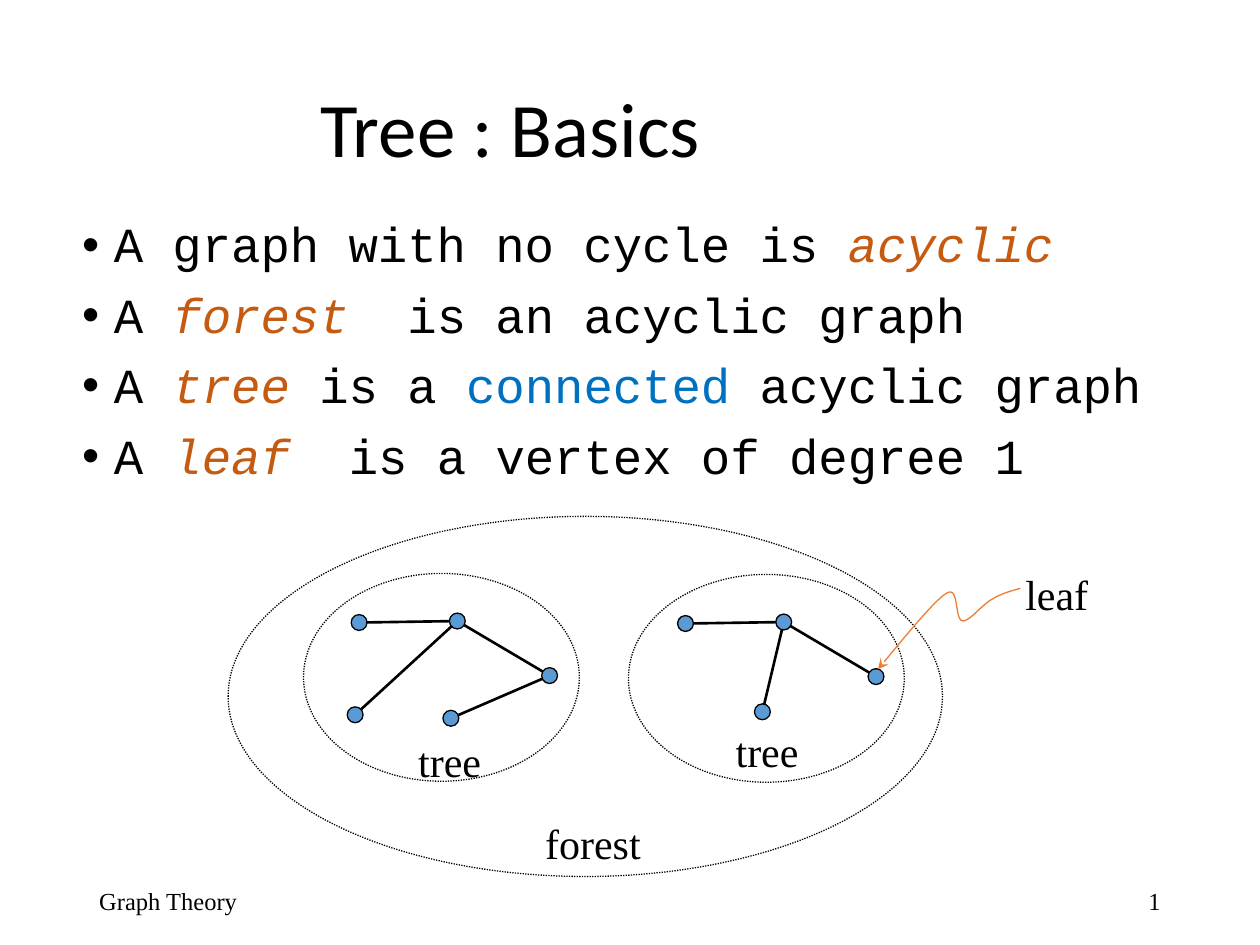
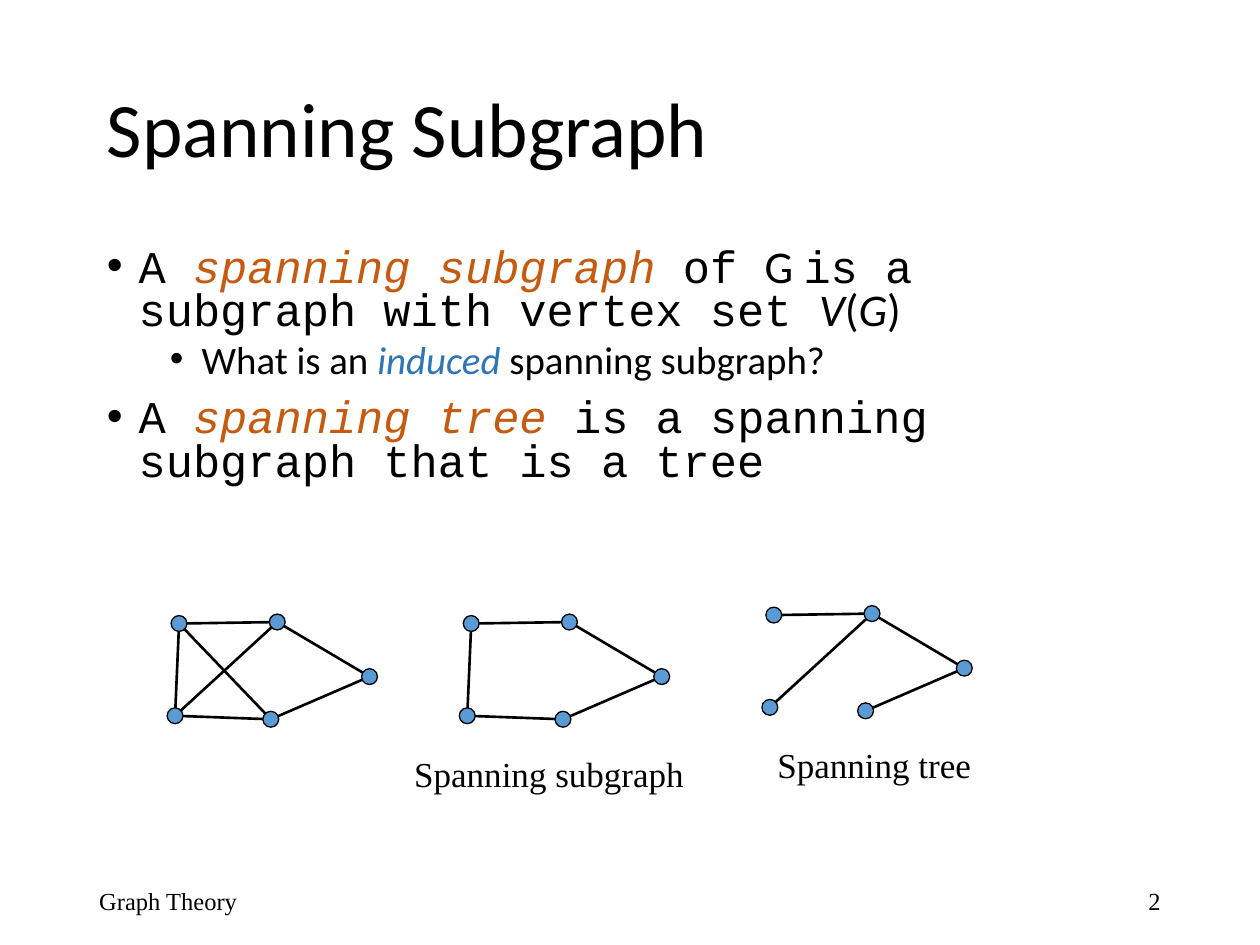
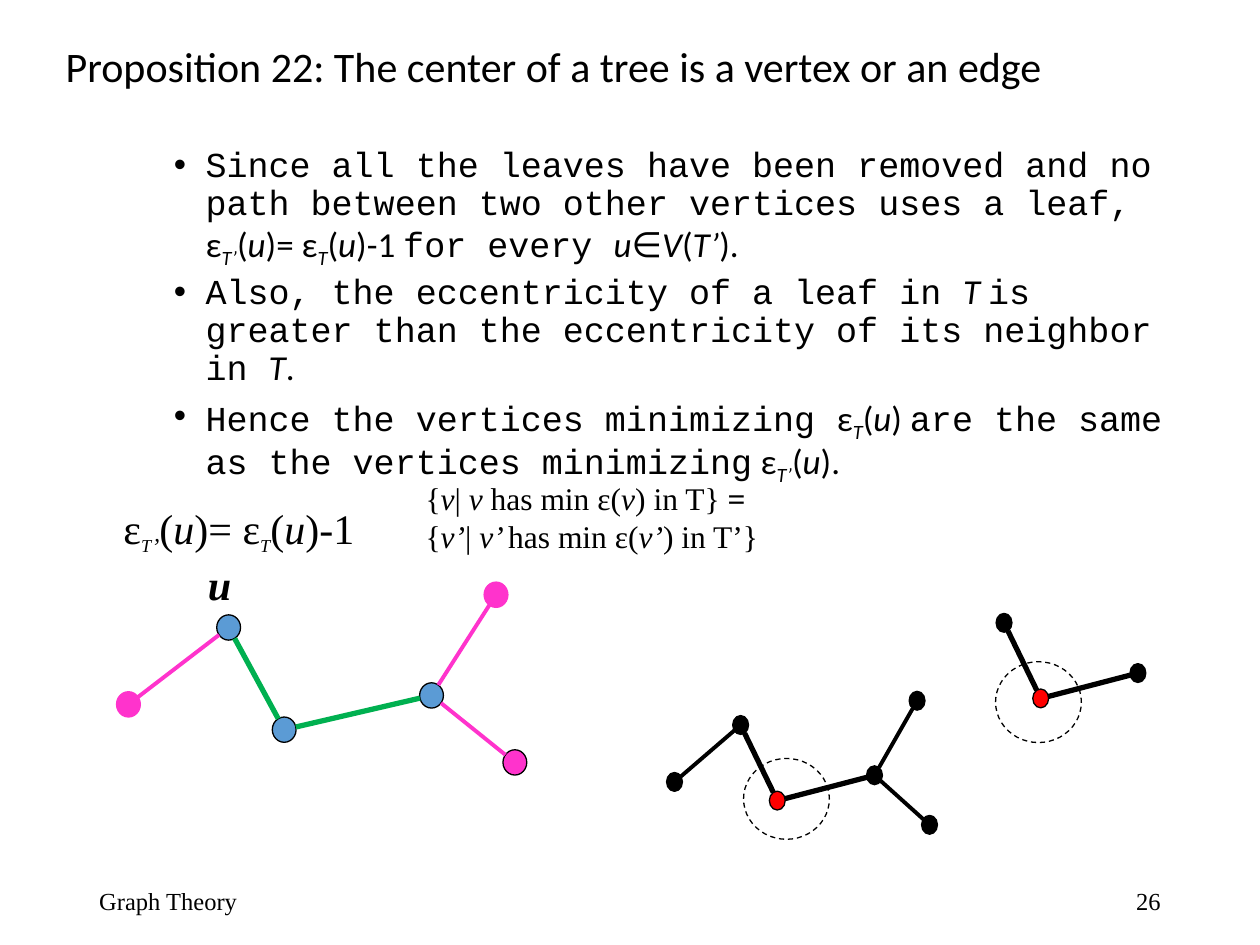
from dataclasses import dataclass, field
from math import hypot
from typing import NamedTuple

from lxml.etree import SubElement
from pptx import Presentation
from pptx.dml.color import RGBColor
from pptx.enum.dml import MSO_LINE
from pptx.enum.shapes import MSO_CONNECTOR, MSO_SHAPE
from pptx.enum.text import MSO_ANCHOR, MSO_AUTO_SIZE, PP_ALIGN
from pptx.oxml.ns import qn
from pptx.util import Cm, Pt


@dataclass(frozen=True)
class Theme:
    black: RGBColor = RGBColor(0x00, 0x00, 0x00)
    term: RGBColor = RGBColor(0xC5, 0x5A, 0x11)
    connected: RGBColor = RGBColor(0x00, 0x70, 0xC0)
    induced: RGBColor = RGBColor(0x2E, 0x75, 0xB6)
    vertex: RGBColor = RGBColor(0x5B, 0x9B, 0xD5)
    pointer: RGBColor = RGBColor(0xED, 0x7D, 0x31)
    removed: RGBColor = RGBColor(0xFF, 0x33, 0xCC)
    kept: RGBColor = RGBColor(0x00, 0xB0, 0x50)
    center: RGBColor = RGBColor(0xFF, 0x00, 0x00)
    sans: str = "Calibri"
    mono: str = "Courier New"
    serif: str = "Times New Roman"
    title: float = 44
    proposition: float = 24
    definition: float = 28
    subgraph: float = 25.9
    question: float = 22.2
    proof: float = 20
    label: float = 24
    caption: float = 20
    set_notation: float = 18
    footer: float = 14
    outline: float = 0.75


THEME = Theme()


class Point(NamedTuple):
    x: float
    y: float


class Frame(NamedTuple):
    """Left, top, width and height in centimetres."""
    left: float
    top: float
    width: float
    height: float

    def lengths(self) -> list[Cm]:
        return [Cm(value) for value in self]


class Run(NamedTuple):
    text: str
    form: dict = {}


class Bullet(NamedTuple):
    runs: list[Run]
    level: int = 0


class Stroke(NamedTuple):
    color: RGBColor
    width: float


class VertexStyle(NamedTuple):
    fill: RGBColor
    line: RGBColor = THEME.black


@dataclass
class Graph:
    """Vertices are named by one letter, edges by two; positions are relative to origin."""
    origin: Point
    vertices: dict[str, Point]
    edges: str
    size: Point = Point(0.32, 0.32)
    scale: Point = Point(1, 1)
    vertex: VertexStyle = VertexStyle(THEME.vertex)
    edge: Stroke = Stroke(THEME.black, 1.5)
    special_vertices: dict[str, VertexStyle] = field(default_factory=dict)
    special_edges: dict[str, Stroke] = field(default_factory=dict)

    def center(self, name: str) -> Point:
        x, y = self.vertices[name]
        return Point(self.origin.x + x * self.scale.x, self.origin.y + y * self.scale.y)


# Text

def mono(text: str, **form) -> Run:
    return Run(text, {"font": THEME.mono, **form})


def term(text: str) -> Run:
    return mono(text, italic=True, color=THEME.term)


def italic(text: str, **form) -> Run:
    return Run(text, {"italic": True, **form})


def subscript(text: str, **form) -> Run:
    return italic(text, baseline=-25, **form)


def eccentricity(*tree: Run) -> list[Run]:
    return [Run("ε"), *tree, Run("("), italic("u"), Run(")")]


def write(paragraph, text: str, *, font: str = THEME.serif, size: float = THEME.label,
          color: RGBColor = THEME.black, bold: bool = False, italic: bool = False,
          baseline: int = 0, tracking: float = 0) -> None:
    run = paragraph.add_run()
    run.text = text
    run.font.name, run.font.size = font, Pt(size)
    run.font.bold, run.font.italic = bold, italic
    run.font.color.rgb = color
    properties = run._r.get_or_add_rPr()
    if baseline:
        properties.set("baseline", str(baseline * 1000))
    if tracking:
        properties.set("spc", str(round(tracking * 100)))


def write_runs(paragraph, runs: list[Run], **defaults) -> None:
    for run in runs:
        write(paragraph, run.text, **{**defaults, **run.form})


def add_label(slide, frame: Frame, *lines: list[Run], align=PP_ALIGN.LEFT,
              anchor=MSO_ANCHOR.TOP, grow: bool = True, **form) -> None:
    text_frame = slide.shapes.add_textbox(*frame.lengths()).text_frame
    text_frame.word_wrap = True
    text_frame.auto_size = MSO_AUTO_SIZE.SHAPE_TO_FIT_TEXT if grow else MSO_AUTO_SIZE.NONE
    text_frame.vertical_anchor = anchor
    for index, runs in enumerate(lines):
        paragraph = text_frame.add_paragraph() if index else text_frame.paragraphs[0]
        paragraph.alignment = align
        write_runs(paragraph, runs, **form)


def place(placeholder, frame: Frame, anchor):
    (placeholder.left, placeholder.top,
     placeholder.width, placeholder.height) = frame.lengths()
    text_frame = placeholder.text_frame
    text_frame.word_wrap = True
    text_frame.auto_size = MSO_AUTO_SIZE.NONE
    text_frame.vertical_anchor = anchor
    return text_frame


def set_title(slide, frame: Frame, text: str, size: float = THEME.title,
              line_spacing: float = 0.9) -> None:
    paragraph = place(slide.shapes.title, frame, MSO_ANCHOR.MIDDLE).paragraphs[0]
    paragraph.alignment = PP_ALIGN.LEFT
    paragraph.line_spacing = line_spacing
    write(paragraph, text, font=THEME.sans, size=size)


def set_bullets(slide, frame: Frame, bullets: list[Bullet], size: float,
                line_spacing: float = 0.9) -> None:
    text_frame = place(slide.placeholders[1], frame, MSO_ANCHOR.TOP)
    for index, bullet in enumerate(bullets):
        paragraph = text_frame.add_paragraph() if index else text_frame.paragraphs[0]
        paragraph.level = bullet.level
        properties = paragraph._p.get_or_add_pPr()
        properties.set("marL", str(Cm(0.64 + 1.27 * bullet.level)))
        properties.set("indent", str(-Cm(0.64)))
        SubElement(properties, qn("a:buFont"), typeface="Arial")
        SubElement(properties, qn("a:buChar"), char="•")
        paragraph.line_spacing = line_spacing
        paragraph.space_before = Pt((5 if bullet.level else 10) if index else 0)
        write_runs(paragraph, bullet.runs, font=THEME.sans, size=size)


def add_slide(deck, number: int):
    slide = deck.slides.add_slide(deck.slide_layouts[1])
    for left, text, align in ((1.75, "Graph Theory", PP_ALIGN.LEFT),
                              (17.93, str(number), PP_ALIGN.RIGHT)):
        add_label(slide, Frame(left, 17.65, 5.72, 1.02), [Run(text)], align=align,
                  anchor=MSO_ANCHOR.MIDDLE, grow=False, size=THEME.footer)
    return slide


# Drawing

def add_ellipse(shapes, frame: Frame, style: VertexStyle | None = None, dash=None) -> None:
    ellipse = shapes.add_shape(MSO_SHAPE.OVAL, *frame.lengths())
    ellipse.shadow.inherit = False
    ellipse.line.width = Pt(THEME.outline)
    ellipse.line.color.rgb = style.line if style else THEME.black
    if style:
        ellipse.fill.solid()
        ellipse.fill.fore_color.rgb = style.fill
    else:
        ellipse.fill.background()
    if dash:
        ellipse.line.dash_style = dash


def add_edge(shapes, start: Point, end: Point, size: Point, stroke: Stroke) -> None:
    """Join two vertices from rim to rim."""
    dx, dy = end.x - start.x, end.y - start.y
    trim = 0.5 / hypot(dx / size.x, dy / size.y)
    edge = shapes.add_connector(
        MSO_CONNECTOR.STRAIGHT,
        Cm(start.x + dx * trim), Cm(start.y + dy * trim),
        Cm(end.x - dx * trim), Cm(end.y - dy * trim))
    edge.line.color.rgb, edge.line.width = stroke.color, Pt(stroke.width)
    SubElement(edge._element.spPr, qn("a:effectLst"))


def draw_graph(shapes, graph: Graph) -> None:
    width, height = graph.size
    for name in graph.vertices:
        x, y = graph.center(name)
        add_ellipse(shapes, Frame(x - width / 2, y - height / 2, width, height),
                    graph.special_vertices.get(name, graph.vertex))
    for pair in graph.edges.split():
        start, end = map(graph.center, pair)
        add_edge(shapes, start, end, graph.size, graph.special_edges.get(pair, graph.edge))


def add_pointer(slide, knots: list[Point], steps: int = 12) -> None:
    """Draw a chain of cubic curves with an arrowhead at its first point."""
    curve = []
    for first in range(0, len(knots) - 1, 3):
        controls = knots[first:first + 4]
        for step in range(1, steps + 1):
            t = step / steps
            weights = ((1 - t) ** 3, 3 * t * (1 - t) ** 2, 3 * t * t * (1 - t), t ** 3)
            curve.append(tuple(Cm(sum(w * p[axis] for w, p in zip(weights, controls)))
                               for axis in (0, 1)))
    builder = slide.shapes.build_freeform(Cm(knots[0].x), Cm(knots[0].y))
    builder.add_line_segments(curve, close=False)
    pointer = builder.convert_to_shape()
    pointer.shadow.inherit = False
    pointer.fill.background()
    pointer.line.color.rgb, pointer.line.width = THEME.pointer, Pt(THEME.outline)
    SubElement(pointer.line._get_or_add_ln(), qn("a:headEnd"), type="stealth")


# Content

HOUSE = {"A": Point(0, 0), "B": Point(1.98, -0.03), "E": Point(3.84, 1.07),
         "C": Point(-0.08, 1.86), "D": Point(1.85, 1.93)}
HOUSE_TREE = "AB BE DE CB"
HOUSE_CYCLE = "AB BE DE AC CD"
SMALL_TREE = {name: HOUSE[name] for name in "ABE"} | {"D": Point(1.55, 1.78)}

INNER = {"M": Point(0, 0), "R": Point(2.97, -0.69), "U": Point(-1.12, -2.06)}
LEAVES = {"T": Point(4.27, -2.72), "L": Point(4.65, 0.66), "P": Point(-3.14, -0.51)}
INNER_EDGES = "MR MU"
LEAF_EDGES = "RT LR PU"


def build_basics(deck) -> None:
    slide = add_slide(deck, 1)
    wide_space = mono(" ", tracking=16.8)
    set_title(slide, Frame(6.2, 1.7, 12.67, 1.93), "Tree : Basics")
    set_bullets(slide, Frame(1.4, 4.32, 22.15, 5.66), [
        Bullet([mono("A graph with no cycle is "), term("acyclic")]),
        Bullet([mono("A "), term("forest"), wide_space, mono("is an acyclic graph")]),
        Bullet([mono("A "), term("tree"), mono(" is a "),
                mono("connected", color=THEME.connected), mono(" acyclic graph")]),
        Bullet([mono("A "), term("leaf"), wide_space, mono("is a vertex of degree 1")]),
    ], THEME.definition)
    draw_graph(slide.shapes, Graph(Point(7.24, 12.55), HOUSE, HOUSE_TREE))
    draw_graph(slide.shapes, Graph(Point(13.82, 12.57), SMALL_TREE, "AB BE DB"))
    for boundary in (Frame(6.12, 11.56, 5.56, 4.19), Frame(12.67, 11.58, 5.56, 4.19),
                     Frame(4.6, 10.41, 14.4, 7.26)):
        add_ellipse(slide.shapes, boundary, dash=MSO_LINE.ROUND_DOT)
    for text, left, top, width in (("tree", 8.18, 14.71, 1.83), ("tree", 14.58, 14.5, 1.83),
                                   ("forest", 10.74, 16.36, 3.07), ("leaf", 20.42, 11.33, 1.98)):
        add_label(slide, Frame(left, top, width, 1.27), [Run(text)])
    add_pointer(slide, [
        Point(17.7, 13.49),
        Point(17.93, 13.23), Point(18.8, 12.12), Point(19.08, 11.96),
        Point(19.35, 11.79), Point(19.23, 12.5), Point(19.41, 12.52),
        Point(19.56, 12.52), Point(19.81, 12.17), Point(20.02, 12.07),
        Point(20.19, 11.96), Point(20.47, 11.89), Point(20.57, 11.86)])


def build_spanning(deck) -> None:
    slide = add_slide(deck, 2)
    set_title(slide, Frame(1.9, 1.7, 21.59, 1.93), "Spanning Subgraph")
    question = {"size": THEME.question}
    set_bullets(slide, Frame(1.9, 4.88, 21.59, 5.54), [
        Bullet([mono("A "), term("spanning subgraph "), mono("of "), Run("G "),
                mono("is a subgraph with vertex set "),
                italic("V"), Run("("), italic("G"), Run(")")]),
        Bullet([Run("What is an ", question),
                italic("induced", color=THEME.induced, **question),
                Run(" spanning subgraph?", question)], level=1),
        Bullet([mono("A "), term("spanning tree "),
                mono("is a spanning subgraph that is a tree")]),
    ], THEME.subgraph, line_spacing=0.8)
    for origin, edges in ((Point(3.61, 12.57), HOUSE_CYCLE + " CB AD"),
                          (Point(9.5, 12.57), HOUSE_CYCLE),
                          (Point(15.6, 12.4), HOUSE_TREE)):
        draw_graph(slide.shapes, Graph(origin, HOUSE, edges))
    for text, frame in (("Spanning subgraph", Frame(8.1, 15.04, 6.3, 1.09)),
                        ("Spanning tree", Frame(15.42, 14.86, 4.57, 1.09))):
        add_label(slide, frame, [Run(text)], size=THEME.caption)


def build_center(deck) -> None:
    slide = add_slide(deck, 26)
    set_title(slide, Frame(1.07, 0.43, 23.06, 2.06),
              "Proposition 22: The center of a tree is a vertex or an edge",
              THEME.proposition, line_spacing=0.7)
    tree, pruned = eccentricity(subscript("T")), eccentricity(subscript("T’"))
    set_bullets(slide, Frame(1.98, 2.84, 22.17, 6.4), [
        Bullet([mono("Since all the leaves have been removed and no path between "
                     "two other vertices uses a leaf, "),
                *pruned, Run("= "), *tree, Run("-1 "), mono("for every "),
                italic("u"), Run("∈"), italic("V"), Run("("), italic("T’"), Run(").")], 1),
        Bullet([mono("Also, the eccentricity of a leaf in "), italic("T "),
                mono("is greater than the eccentricity of its neighbor in "),
                italic("T"), Run(".")], 1),
        Bullet([mono("Hence the vertices minimizing "), *tree, Run(" "),
                mono("are the same as the vertices minimizing"), Run(" "),
                *pruned, Run(".")], 1),
    ], THEME.proof)

    leaf_stroke = Stroke(THEME.removed, 2.25)
    removed_leaf = VertexStyle(THEME.removed, THEME.removed)
    draw_graph(slide.shapes, Graph(
        Point(5.73, 14.71), INNER | LEAVES, f"{INNER_EDGES} {LEAF_EDGES}",
        size=Point(0.48, 0.51), edge=leaf_stroke,
        special_vertices={"T": removed_leaf, "P": removed_leaf,
                          "L": VertexStyle(THEME.removed)},
        special_edges=dict.fromkeys(INNER_EDGES.split(), Stroke(THEME.kept, 3))))
    for origin, vertices, edges in (
            (Point(15.67, 16.14), INNER | LEAVES, f"{INNER_EDGES} {LEAF_EDGES}"),
            (Point(20.98, 14.08), INNER, INNER_EDGES)):
        draw_graph(slide.shapes.add_group_shape().shapes, Graph(
            origin, vertices, edges, size=Point(0.32, 0.38), scale=Point(0.66, 0.74),
            vertex=VertexStyle(THEME.black), edge=Stroke(THEME.black, 2.25),
            special_vertices={"M": VertexStyle(THEME.center)},
            special_edges=dict.fromkeys(INNER_EDGES.split(), Stroke(THEME.black, 3))))
    for left, top in ((14.99, 15.29), (20.07, 13.34)):
        add_ellipse(slide.shapes, Frame(left, top, 1.73, 1.63), dash=MSO_LINE.DASH)

    add_label(slide, Frame(3.94, 11.13, 1.4, 1.27), [italic("u", bold=True)])
    small_t = subscript("T", size=THEME.set_notation)
    add_label(slide, Frame(2.24, 10.01, 5.49, 1.27),
              [*eccentricity(small_t, subscript("’")), Run("= "),
               *eccentricity(small_t), Run("-1")])
    add_label(slide, Frame(8.33, 9.53, 9.65, 1.78),
              [Run("{"), italic("v"), Run("| "), italic("v"), Run(" has min ε("),
               italic("v"), Run(") in T} "), Run("=", {"bold": True})],
              [Run("{"), italic("v’"), Run("| "), italic("v’ "), Run("has min ε("),
               italic("v’"), Run(") in T’}")],
              size=THEME.set_notation)


def main() -> None:
    deck = Presentation()
    deck.slide_width, deck.slide_height = Cm(25.4), Cm(19.05)
    build_basics(deck)
    build_spanning(deck)
    build_center(deck)
    deck.save("out.pptx")


if __name__ == "__main__":
    main()
